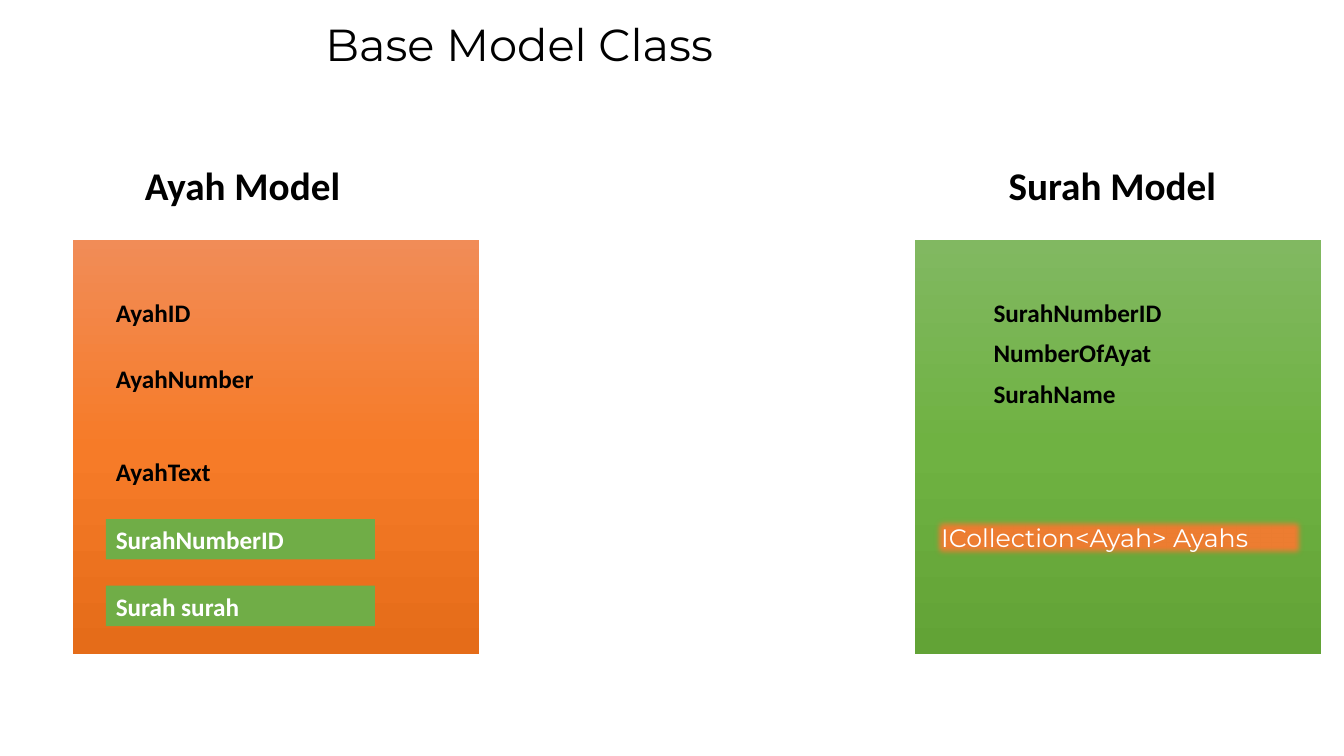
from copy import deepcopy

from pptx import Presentation
from pptx.dml.color import RGBColor as RGB
from pptx.enum.shapes import MSO_SHAPE as SHAPE
from pptx.enum.text import MSO_ANCHOR as ANCHOR, PP_ALIGN as ALIGN
from pptx.oxml import parse_xml
from pptx.oxml.ns import nsdecls, qn
from pptx.util import Cm, Pt

BLACK = RGB(0x00, 0x00, 0x00)
WHITE = RGB(0xFF, 0xFF, 0xFF)
ORANGE = RGB(0xED, 0x7D, 0x31)
GREEN = RGB(0x70, 0xAD, 0x47)
WARM = (RGB(0xF1, 0x8C, 0x57), RGB(0xF6, 0x7B, 0x28), RGB(0xE5, 0x6C, 0x19))
FRESH = (RGB(0x81, 0xB8, 0x61), RGB(0x6F, 0xB2, 0x42), RGB(0x62, 0xA3, 0x36))

# All lengths are in centimetres.
TITLE = ("Base Model Class", (7.95, 0.3, 19.51, 1.63))
LINK = ("ICollection<Ayah> Ayahs", (23.47, 13, 9.45, 1.09))
# Fields: name, top, fill (None for plain text)
MODELS = [
    {"name": "Ayah Model", "left": 1.83, "head": 3.4, "text": 2.67, "tones": WARM,
     "fields": [("AyahID", 7.37, None), ("AyahNumber", 9.02, None),
                ("AyahText", 11.38, None), ("SurahNumberID", 13.08, GREEN),
                ("Surah surah", 14.76, GREEN)]},
    {"name": "Surah Model", "left": 23.06, "head": 25.17, "text": 24.79, "tones": FRESH,
     "fields": [("SurahNumberID", 7.37, None), ("NumberOfAyat", 8.38, None),
                ("SurahName", 9.4, None)]},
]
CARD_TOP, CARD_W, CARD_H = 6.05, 10.24, 10.44
HEAD_TOP, HEAD_W, HEAD_H = 3.94, 6.05, 1.45
FIELD_W, FIELD_H = 6.78, 1.02

deck = Presentation()
deck.slide_width, deck.slide_height = Cm(33.87), Cm(19.05)
slide = deck.slides.add_slide(deck.slide_layouts[6])


def add_rect(box):
    """Add a rectangle without line or shadow."""
    rect = slide.shapes.add_shape(SHAPE.RECTANGLE, *map(Cm, box))
    rect.shadow.inherit = False
    rect.line.fill.background()
    return rect


def add_card(box, tones):
    """Add a rectangle with a three-tone fade from top to bottom."""
    card = add_rect(box)
    card.fill.gradient()
    card.fill.gradient_angle = 270
    stops = card._element.spPr.find(qn("a:gradFill")).find(qn("a:gsLst"))
    stops.append(deepcopy(stops[-1]))
    for i, (stop, tone) in enumerate(zip(card.fill.gradient_stops, tones)):
        stop.position = i / 2
        stop.color.rgb = tone


def add_label(text, box, size, font="Calibri", bold=True, fill=None):
    """Add left-aligned text, on a filled bar if a fill is given."""
    if fill is None:
        label = slide.shapes.add_textbox(*map(Cm, box))
    else:
        label = add_rect(box)
        label.fill.solid()
        label.fill.fore_color.rgb = fill
    frame = label.text_frame
    frame.word_wrap = True
    frame.vertical_anchor = ANCHOR.MIDDLE if fill else ANCHOR.TOP
    frame.text = text
    para = frame.paragraphs[0]
    para.alignment = ALIGN.LEFT
    para.font.name, para.font.size, para.font.bold = font, Pt(size), bold
    para.font.color.rgb = WHITE if fill else BLACK
    return label


def soften(shape, rad):
    """Blur the edge of a shape."""
    effects = shape._element.spPr.find(qn("a:effectLst"))
    effects.append(parse_xml(f'<a:softEdge {nsdecls("a")} rad="{rad}"/>'))


for model in MODELS:
    add_card((model["left"], CARD_TOP, CARD_W, CARD_H), model["tones"])
    add_label(model["name"], (model["head"], HEAD_TOP, HEAD_W, HEAD_H), 28)
    for name, top, fill in model["fields"]:
        add_label(name, (model["text"], top, FIELD_W, FIELD_H), 18, fill=fill)

link = add_label(*LINK, 18, "Montserrat", False, ORANGE)
soften(link, Pt(5))
add_label(*TITLE, 32, "Montserrat", False)

deck.save("out.pptx")
